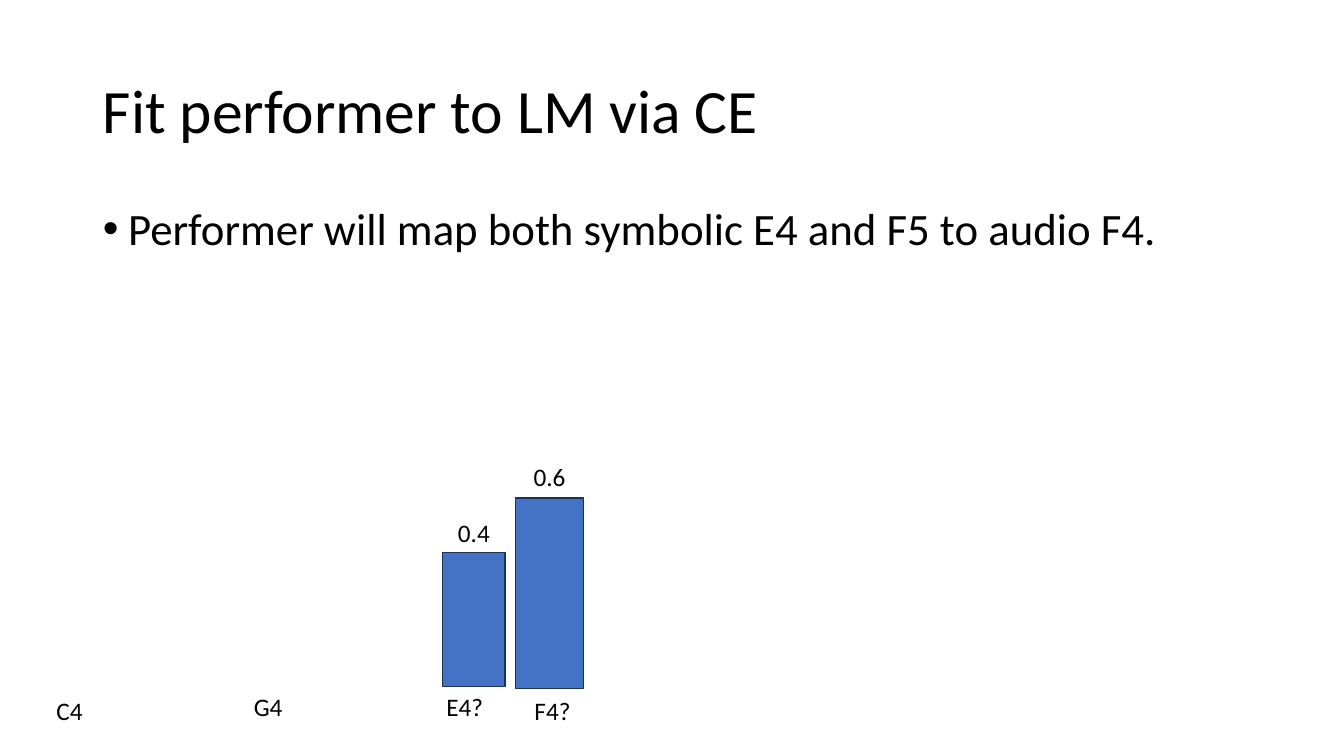
from dataclasses import dataclass

from pptx import Presentation
from pptx.dml.color import RGBColor
from pptx.enum.shapes import MSO_SHAPE
from pptx.enum.text import MSO_ANCHOR, MSO_AUTO_SIZE, PP_ALIGN
from pptx.util import Inches, Pt


@dataclass(frozen=True)
class Theme:
    font: str = "Calibri"
    text: RGBColor = RGBColor(0x00, 0x00, 0x00)
    bar_fill: RGBColor = RGBColor(0x44, 0x72, 0xC4)
    bar_line: RGBColor = RGBColor(0x1E, 0x32, 0x56)
    title_size: Pt = Pt(44)
    body_size: Pt = Pt(32)
    label_size: Pt = Pt(18)
    line_width: Pt = Pt(1)


THEME = Theme()
LABEL_WIDTH = 1
LABEL_HEIGHT = 0.4

BARS = [
    (4.39, 5.48, 0.62, 1.33),
    (5.11, 4.94, 0.68, 1.89),
]
LABELS = [
    ("0.4", 4.2, 5.08),
    ("0.6", 4.95, 4.53),
    ("C4", 0.19, 6.85),
    ("E4?", 4.11, 6.81),
    ("F4?", 4.98, 6.85),
    ("G4", 2.16, 6.81),
]


def apply_format(target, values):
    for name, value in values.items():
        setattr(target, name, value)


def place(shape, left, top, width, height):
    apply_format(shape, {
        "left": Inches(left),
        "top": Inches(top),
        "width": Inches(width),
        "height": Inches(height),
    })


def write_text(shape, text, size, frame_format, paragraph_format):
    frame = shape.text_frame
    apply_format(frame, frame_format)
    paragraph = frame.paragraphs[0]
    apply_format(paragraph, paragraph_format)
    run = paragraph.add_run()
    run.text = text
    apply_format(run.font, {"name": THEME.font, "size": size})
    run.font.color.rgb = THEME.text


def fill_title(slide, text):
    title = slide.shapes.title
    place(title, 0.92, 0.4, 11.5, 1.45)
    write_text(
        title, text, THEME.title_size,
        {"vertical_anchor": MSO_ANCHOR.MIDDLE, "auto_size": MSO_AUTO_SIZE.NONE},
        {"alignment": PP_ALIGN.LEFT, "line_spacing": 0.9},
    )


def fill_body(slide, text):
    body = slide.placeholders[1]
    place(body, 0.92, 2, 11.5, 4.76)
    write_text(
        body, text, THEME.body_size,
        {"vertical_anchor": MSO_ANCHOR.TOP, "auto_size": MSO_AUTO_SIZE.NONE},
        {"line_spacing": 0.9, "space_before": Pt(10)},
    )
    properties = body.text_frame.paragraphs[0]._p.get_or_add_pPr()
    properties.set("marL", str(Inches(0.25)))
    properties.set("indent", str(Inches(-0.25)))


def add_bar(slide, left, top, width, height):
    bar = slide.shapes.add_shape(
        MSO_SHAPE.RECTANGLE,
        Inches(left), Inches(top), Inches(width), Inches(height),
    )
    bar.shadow.inherit = False
    bar.fill.solid()
    bar.fill.fore_color.rgb = THEME.bar_fill
    bar.line.color.rgb = THEME.bar_line
    bar.line.width = THEME.line_width


def add_label(slide, text, left, top):
    label = slide.shapes.add_textbox(
        Inches(left), Inches(top), Inches(LABEL_WIDTH), Inches(LABEL_HEIGHT)
    )
    write_text(
        label, text, THEME.label_size,
        {"word_wrap": True, "auto_size": MSO_AUTO_SIZE.SHAPE_TO_FIT_TEXT},
        {"alignment": PP_ALIGN.CENTER},
    )


def main():
    presentation = Presentation()
    apply_format(presentation, {
        "slide_width": Inches(13.33),
        "slide_height": Inches(7.5),
    })
    slide = presentation.slides.add_slide(presentation.slide_layouts[1])
    fill_title(slide, "Fit performer to LM via CE")
    fill_body(slide, "Performer will map both symbolic E4 and F5 to audio F4.")
    for bar in BARS:
        add_bar(slide, *bar)
    for label in LABELS:
        add_label(slide, *label)
    presentation.save("out.pptx")


if __name__ == "__main__":
    main()
